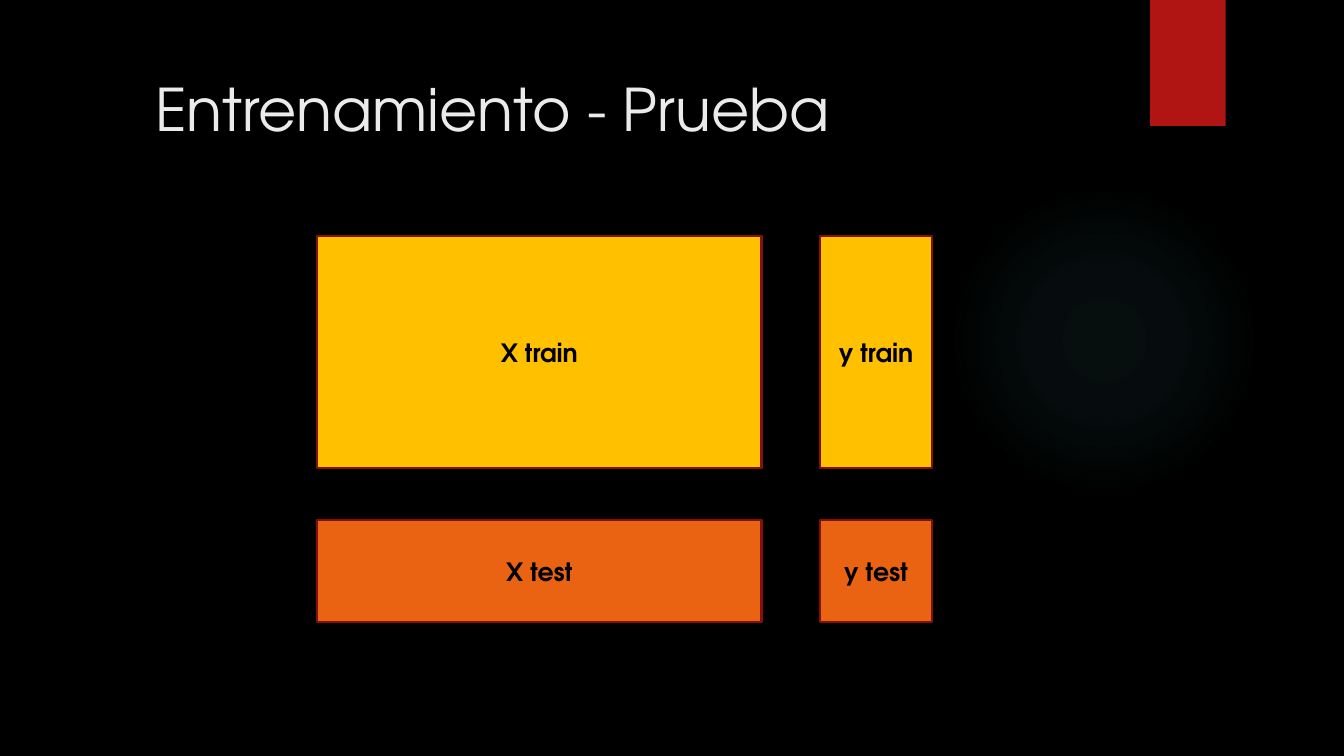
from pptx import Presentation
from pptx import oxml, util as u
from pptx.dml import color
from pptx.enum import shapes, text as t
from pptx.oxml import ns

FONT = "TeX Gyre Adventor"


def rgb(code):
    return color.RGBColor.from_string(code)


def write(frame, words, size=18, ink="000000", bold=False,
          align=t.PP_ALIGN.CENTER, anchor=t.MSO_ANCHOR.MIDDLE):
    frame.word_wrap = True
    frame.auto_size = t.MSO_AUTO_SIZE.NONE
    frame.vertical_anchor = anchor
    line = frame.paragraphs[0]
    line.alignment = align
    run = line.add_run()
    run.text = words
    run.font.name = FONT
    run.font.size = u.Pt(size)
    run.font.bold = bold
    run.font.color.rgb = rgb(ink)


def block(slide, box, fill, edge=None, kind=shapes.MSO_SHAPE.RECTANGLE):
    shape = slide.shapes.add_shape(kind, *map(u.Pt, box))
    shape.shadow.inherit = False
    shape.fill.solid()
    shape.fill.fore_color.rgb = rgb(fill)
    if edge:
        shape.line.color.rgb = rgb(edge)
        shape.line.width = u.Pt(1.5)
    else:
        shape.line.fill.background()
    return shape


def glow(slide, box, tint, stops):
    disc = block(slide, box, tint, kind=shapes.MSO_SHAPE.OVAL)
    marks = "".join(
        f'<a:gs pos="{pos * 1000}"><a:srgbClr val="{tint}">'
        f'<a:alpha val="{alpha * 1000}"/></a:srgbClr></a:gs>'
        for pos, alpha in stops)
    grad = oxml.parse_xml(
        f'<a:gradFill {ns.nsdecls("a")}><a:gsLst>{marks}</a:gsLst>'
        '<a:path path="circle"><a:fillToRect l="50000" t="50000" '
        'r="50000" b="50000"/></a:path></a:gradFill>')
    props = disc.element.spPr
    props.replace(props.find(ns.qn("a:solidFill")), grad)


def backdrop(slide, wide, high):
    slide.background.fill.solid()
    slide.background.fill.fore_color.rgb = rgb("000000")
    glow(slide, (wide - 282.5, high - 408.2, 221.8, 221.8),
         "50B9C1", [(0, 7), (36, 6), (69, 0)])
    block(slide, (wide - 138.5, 0, 54, 90), "B01513")


def heading(slide, box, words):
    title = slide.shapes.title
    title.left, title.top, title.width, title.height = map(u.Pt, box)
    write(title.text_frame, words, size=42, ink="EBEBEB",
          align=t.PP_ALIGN.LEFT, anchor=t.MSO_ANCHOR.TOP)
    tree = slide.shapes._spTree
    tree.remove(title.element)
    tree.append(title.element)


def splits(slide, box):
    left, top, wide, high = box
    cols = [("X", 0, 317.5), ("y", wide - 79.5, 79.5)]
    rows = [("train", 0, 165.5, "FFC000"),
            ("test", high - 72.5, 72.5, "EA6312")]
    for part, down, tall, fill in rows:
        for name, over, span in cols:
            cell = block(slide, (left + over, top + down, span, tall),
                         fill, edge="82100E")
            write(cell.text_frame, f"{name} {part}", bold=True)


def main():
    deck = Presentation()
    wide, high = 960, 540
    deck.slide_width, deck.slide_height = u.Pt(wide), u.Pt(high)
    slide = deck.slides.add_slide(deck.slide_layouts[5])
    backdrop(slide, wide, high)
    heading(slide, (103.7, 48.2, 558, 103.7), "Entrenamiento - Prueba")
    splits(slide, (226.5, 168.7, 439, 275.5))
    deck.save("out.pptx")


if __name__ == "__main__":
    main()
